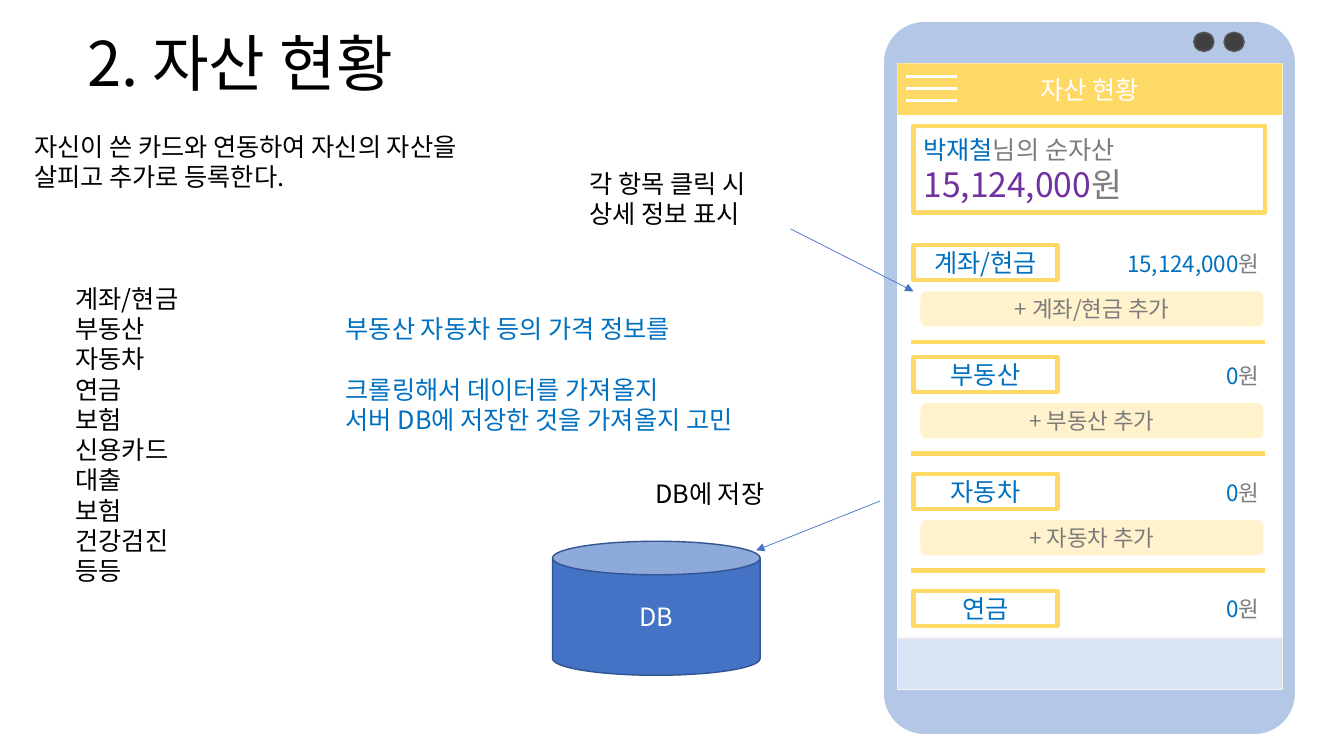
from lxml.etree import SubElement
from pptx import Presentation
from pptx.dml.color import RGBColor
from pptx.enum.shapes import MSO_CONNECTOR, MSO_SHAPE as SHAPE
from pptx.enum.text import MSO_ANCHOR as ANCHOR, MSO_AUTO_SIZE, PP_ALIGN as ALIGN
from pptx.oxml.ns import qn
from pptx.util import Inches, Pt

FONT = "Noto Sans CJK KR"
COLORS = {
    "white": "FFFFFF", "black": "000000", "blue": "0070C0", "gray": "7C7C7C",
    "purple": "7030A0", "gold": "FFD966", "cream": "FFF2CC", "case": "B4C7E7",
    "dock": "DAE3F3", "dock edge": "F2F2F2", "camera": "404040",
    "camera edge": "595959", "database": "4472C4", "database edge": "325491",
}
CATEGORIES = ["계좌/현금", "부동산", "자동차", "연금", "보험",
              "신용카드", "대출", "보험", "건강검진", "등등"]
# Name, amount, top below the phone's top edge
ACCOUNTS = [("계좌/현금", "15,124,000", 2.22), ("부동산", "0", 3.33),
            ("자동차", "0", 4.49), ("연금", "0", 5.65)]


def rgb(name):
    return RGBColor.from_string(COLORS[name])


def style_font(font, size, color):
    font.size = Pt(size)
    font.color.rgb = rgb(color)
    font.name = FONT
    # East Asian typeface, which Hangul uses
    SubElement(font._element, qn("a:ea")).set("typeface", FONT)


def write(shape, lines, size=18, color="black", align=ALIGN.LEFT, anchor=ANCHOR.TOP):
    """Fill a shape with lines; a line is a string or a list of (text, size, color) spans."""
    frame = shape.text_frame
    frame.word_wrap = True
    frame.auto_size = MSO_AUTO_SIZE.NONE
    frame.vertical_anchor = anchor
    for index, line in enumerate(lines):
        para = frame.add_paragraph() if index else frame.paragraphs[0]
        para.alignment = align
        if isinstance(line, str):
            para.add_run().text = line
            style_font(para.font, size, color)
            continue
        for text, span_size, span_color in line:
            span = para.add_run()
            span.text = text
            style_font(span.font, span_size, span_color)
    return frame


def place(shape, left, top, width, height):
    shape.left, shape.top = Inches(left), Inches(top)
    shape.width, shape.height = Inches(width), Inches(height)


def add_text(page, box, lines, **style):
    return write(page.shapes.add_textbox(*map(Inches, box)), lines, **style)


def add_block(page, kind, box, fill, edge=None, weight=1):
    block = page.shapes.add_shape(kind, *map(Inches, box))
    block.shadow.inherit = False
    block.fill.solid()
    block.fill.fore_color.rgb = rgb(fill)
    if edge:
        block.line.color.rgb = rgb(edge)
        block.line.width = Pt(weight)
    else:
        block.line.fill.background()
    return block


def add_line(page, start, end, color, weight, arrow=False):
    line = page.shapes.add_connector(MSO_CONNECTOR.STRAIGHT, *map(Inches, start + end))
    line.line.color.rgb = rgb(color)
    line.line.width = Pt(weight)
    if arrow:
        SubElement(line.line._get_or_add_ln(), qn("a:tailEnd")).set("type", "triangle")
    SubElement(line._element.spPr, qn("a:effectLst"))


def add_heading(page, left, top):
    title = page.shapes.title
    place(title, left, top, 4.58, 0.92)
    frame = write(title, ["2. 자산 현황"], 44, align=ALIGN.CENTER, anchor=ANCHOR.BOTTOM)
    frame.paragraphs[0].line_spacing = 0.9
    add_text(page, (left + 0.15, top + 1.13, 4.73, 0.71),
             ["자신이 쓴 카드와 연동하여 자신의 자산을 살피고 추가로 등록한다."])


def add_categories(page, left, top):
    body = page.placeholders[1]
    place(body, left, top, 2.36, 3.13)
    for para in write(body, CATEGORIES).paragraphs:
        para.space_before = Pt(0)
        properties = para._p.get_or_add_pPr()
        properties.set("marL", "0")
        properties.set("indent", "0")
        bullet = properties.makeelement(qn("a:buNone"), {})
        properties.find(qn("a:defRPr")).addprevious(bullet)


def add_phone(page, left, top):
    case = add_block(page, SHAPE.ROUNDED_RECTANGLE, (left, top, 4.09, 7.08), "case", "white")
    case.adjustments[0] = 0.1
    screen = left + 0.14
    add_block(page, SHAPE.RECTANGLE, (screen, top + 0.42, 3.82, 6.05), "white", "white")
    for offset in (3.08, 3.38):
        add_block(page, SHAPE.OVAL, (left + offset, top + 0.11, 0.2, 0.19),
                  "camera", "camera edge")
    add_block(page, SHAPE.RECTANGLE, (screen, top + 6.12, 3.82, 0.51), "dock", "dock edge")
    add_app_bar(page, screen, top + 0.42)
    add_net_worth(page, left + 0.3, top + 1.04)
    for index, (name, amount, offset) in enumerate(ACCOUNTS):
        is_last = index == len(ACCOUNTS) - 1
        add_account(page, left + 0.3, top + offset, name, amount, not is_last)


def add_app_bar(page, left, top):
    bar = add_block(page, SHAPE.RECTANGLE, (left, top, 3.82, 0.51), "gold")
    write(bar, ["자산 현황"], color="white", align=ALIGN.CENTER, anchor=ANCHOR.MIDDLE)
    for index in range(3):
        height = top + 0.13 + 0.12 * index
        add_line(page, (left + 0.09, height), (left + 0.59, height), "white", 2.25)


def add_net_worth(page, left, top):
    card = add_block(page, SHAPE.RECTANGLE, (left, top, 3.49, 0.86), "white", "gold", 3)
    write(card, [[("박재철", 18, "blue"), ("님의 순자산", 18, "gray")],
                 [("15,124,000", 24, "purple"), ("원", 24, "gray")]],
          anchor=ANCHOR.MIDDLE)


def add_account(page, left, top, name, amount, has_button):
    add_text(page, (left + 1.57, top, 1.96, 0.37),
             [[(amount, 16, "blue"), ("원", 16, "gray")]], align=ALIGN.RIGHT)
    label = add_block(page, SHAPE.RECTANGLE, (left, top, 1.43, 0.35), "white", "gold", 3)
    write(label, [name], color="blue", align=ALIGN.CENTER, anchor=ANCHOR.MIDDLE)
    if has_button:
        add_line(page, (left + 3.49, top + 0.96), (left - 0.02, top + 0.96), "gold", 3)
        button = add_block(page, SHAPE.ROUNDED_RECTANGLE,
                           (left + 0.07, top + 0.46, 3.4, 0.35), "cream")
        write(button, [f"+ {name} 추가"], 16, "gray", ALIGN.CENTER, ANCHOR.MIDDLE)


def add_notes_on_design(page, left, top):
    add_text(page, (left + 2.42, top, 2.36, 0.71), ["각 항목 클릭 시", "상세 정보 표시"])
    add_line(page, (left + 4.51, top + 0.65), (left + 5.73, top + 1.27),
             "database", 0.5, arrow=True)
    frame = add_text(page, (left, top + 1.44, 4.71, 1.31),
                     ["부동산 자동차 등의 가격 정보를", "크롤링해서 데이터를 가져올지",
                      "서버 DB에 저장한 것을 가져올지 고민"], color="blue")
    frame.paragraphs[1].space_before = Pt(21.7)


def add_database(page, left, top):
    can = add_block(page, SHAPE.CAN, (left, top, 2.06, 1.33), "database", "database edge")
    write(can, ["DB"], color="white", align=ALIGN.CENTER, anchor=ANCHOR.MIDDLE)
    add_line(page, (left + 3.25, top - 0.4), (left + 2.02, top + 0.09),
             "database", 0.5, arrow=True)
    add_text(page, (left + 0.92, top - 0.67, 1.51, 0.4), ["DB에 저장"])


def main():
    deck = Presentation()
    deck.slide_width, deck.slide_height = Inches(13.33), Inches(7.5)
    page = deck.slides.add_slide(deck.slide_layouts[1])
    add_phone(page, 8.76, 0.21)
    add_heading(page, 0.09, 0.12)
    add_categories(page, 0.65, 2.76)
    add_notes_on_design(page, 3.33, 1.62)
    add_database(page, 5.48, 5.37)
    deck.save("out.pptx")


if __name__ == "__main__":
    main()
